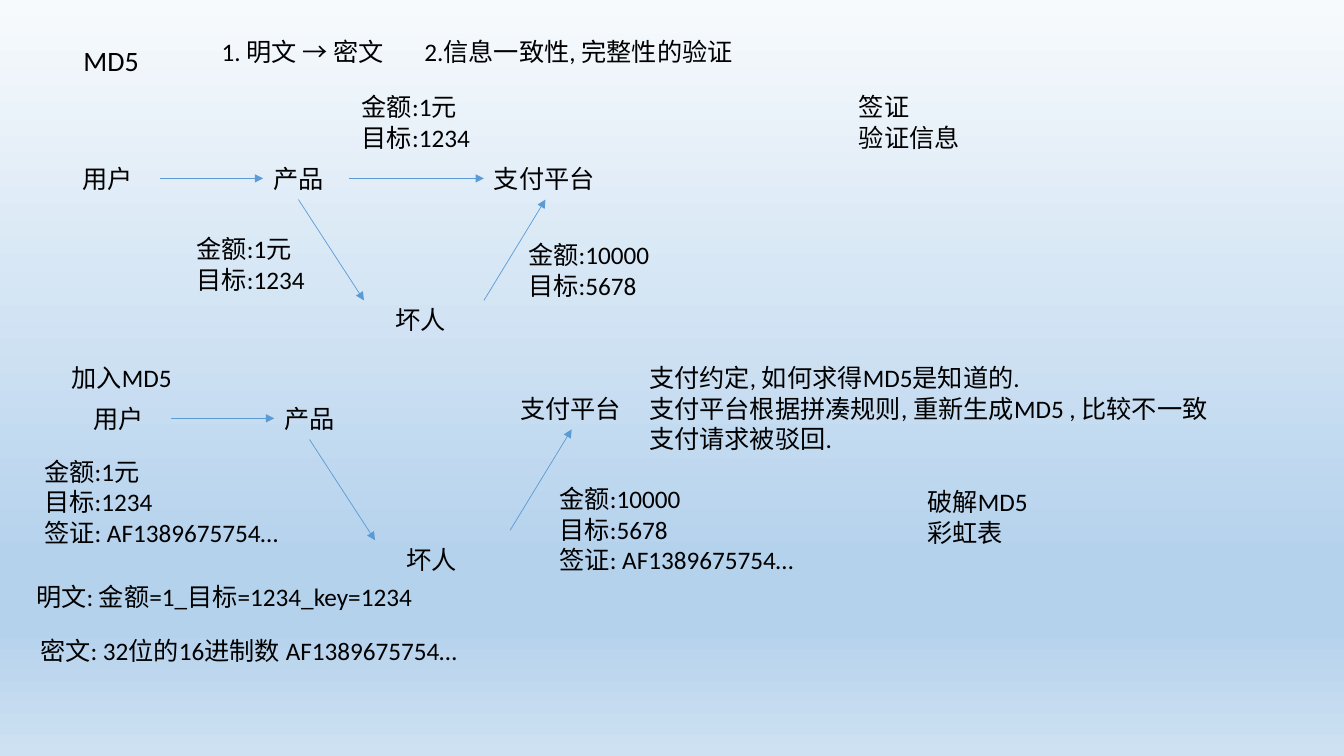
from lxml import etree
from pptx import Presentation
from pptx.dml.color import RGBColor
from pptx.enum.shapes import MSO_CONNECTOR
from pptx.enum.text import MSO_AUTO_SIZE
from pptx.oxml import parse_xml
from pptx.oxml.ns import nsdecls, qn
from pptx.util import Inches, Pt

FONT, INK, ARROW = "Calibri", "000000", "5B9BD5"
SKY = [(0, "F7FAFD"), (74, "B5D2EC"), (83, "B5D2EC"), (100, "CEE1F2")]

# Parties of the payment flow: (name, left, top, width)
SENDERS = [("用户", 0.72, 1.57, 0.71), ("产品", 2.61, 1.57, 0.71),
           ("坏人", 3.82, 2.97, 0.71)]
PLATFORM = [("支付平台", 4.8, 1.57, 1.21)]
# Arrows: (start x, start y, end x, end y)
SENDER_ARROWS = [(1.59, 1.77, 2.61, 1.77), (2.96, 1.98, 3.61, 2.98)]
PLATFORM_ARROWS = [(4.8, 2.98, 5.41, 1.98)]
DIRECT_ARROW = (3.46, 1.77, 4.8, 1.77)

# Each part of the flow is drawn plain, then shifted for the MD5 version
FLOW = [(SENDERS, SENDER_ARROWS, [(0, 0), (0.11, 2.38)]),
        (PLATFORM, PLATFORM_ARROWS, [(0, 0), (0.26, 2.28)])]

PAID = ["金额:1元", "目标:1234"]
FORGED = ["金额:10000", "目标:5678"]
SIGNATURE = ["签证: AF1389675754…"]

# Notes: (lines, left, top, width)
NOTES = [
    (["1. 明文 → 密文\t2.信息一致性, 完整性的验证 "], 2.1, 0.31, 5.47),
    (PAID, 3.49, 0.86, 1.36),
    (PAID, 1.85, 2.27, 1.36),
    (FORGED, 5.14, 2.33, 1.5),
    (["加入MD5"], 0.61, 3.55, 1.29),
    (PAID + SIGNATURE, 0.34, 4.48, 2.83),
    (FORGED + SIGNATURE, 5.45, 4.75, 2.83),
    (["明文: 金额=1_目标=1234_key=1234"], 0.26, 5.72, 4.38),
    (["密文: 32位的16进制数 AF1389675754…"], 0.3, 6.25, 4.75),
    (["破解MD5 ", "彩虹表"], 9.1, 4.78, 1.37),
]
WRAPPED_NOTES = [
    (["签证", "验证信息"], 8.42, 0.86, 1.74),
    (["支付约定, 如何求得MD5是知道的.",
      "支付平台根据拼凑规则, 重新生成MD5 , 比较不一致",
      "支付请求被驳回."], 6.34, 3.55, 5.93),
]
TAB_STOP = 2.01


def rgb(hex_color):
    """Turn a hex string into a colour."""
    return RGBColor.from_string(hex_color)


def paint_background(slide, stops):
    """Fill the slide from top to bottom with a gradient."""
    fill = slide.background.fill
    fill.gradient()
    fill.gradient_angle = 270
    stop_list = next(slide.element.iter(qn("a:gsLst")))
    for old in list(stop_list):
        stop_list.remove(old)
    for percent, color in stops:
        stop_list.append(parse_xml(
            f'<a:gs {nsdecls("a")} pos="{percent * 1000}">'
            f'<a:srgbClr val="{color}"/></a:gs>'))


def add_note(slide, lines, left, top, width, size=18, wrap=False):
    """Place a text box, one paragraph per line, as tall as its lines."""
    height = 0.1 + len(lines) * size / 60
    box = slide.shapes.add_textbox(*map(Inches, (left, top, width, height)))
    frame = box.text_frame
    frame.word_wrap = wrap
    frame.auto_size = MSO_AUTO_SIZE.SHAPE_TO_FIT_TEXT
    for number, line in enumerate(lines):
        paragraph = frame.add_paragraph() if number else frame.paragraphs[0]
        if "\t" in line:
            tabs = etree.SubElement(paragraph._p.get_or_add_pPr(), qn("a:tabLst"))
            etree.SubElement(tabs, qn("a:tab"), pos=str(Inches(TAB_STOP)), algn="l")
        run = paragraph.add_run()
        run.text = line
        run.font.name = FONT
        run.font.size = Pt(size)
        run.font.color.rgb = rgb(INK)


def add_arrow(slide, *ends):
    """Draw a thin arrow from the first point to the second."""
    arrow = slide.shapes.add_connector(MSO_CONNECTOR.STRAIGHT, *map(Inches, ends))
    arrow.line.color.rgb = rgb(ARROW)
    arrow.line.width = Pt(0.5)
    etree.SubElement(arrow.line._get_or_add_ln(), qn("a:tailEnd"), type="triangle")
    etree.SubElement(arrow._element.spPr, qn("a:effectLst"))


def add_flow(slide, parties, arrows, dx, dy):
    """Draw parties and their arrows, shifted by dx and dy."""
    for name, left, top, width in parties:
        add_note(slide, [name], left + dx, top + dy, width)
    for x1, y1, x2, y2 in arrows:
        add_arrow(slide, x1 + dx, y1 + dy, x2 + dx, y2 + dy)


deck = Presentation()
deck.slide_width, deck.slide_height = Inches(13.33), Inches(7.5)
slide = deck.slides.add_slide(deck.slide_layouts[6])
paint_background(slide, SKY)

add_note(slide, ["MD5"], 0.73, 0.38, 0.76, size=20)
for parties, arrows, shifts in FLOW:
    for dx, dy in shifts:
        add_flow(slide, parties, arrows, dx, dy)
add_arrow(slide, *DIRECT_ARROW)
for note in NOTES:
    add_note(slide, *note)
for note in WRAPPED_NOTES:
    add_note(slide, *note, wrap=True)

deck.save("out.pptx")
